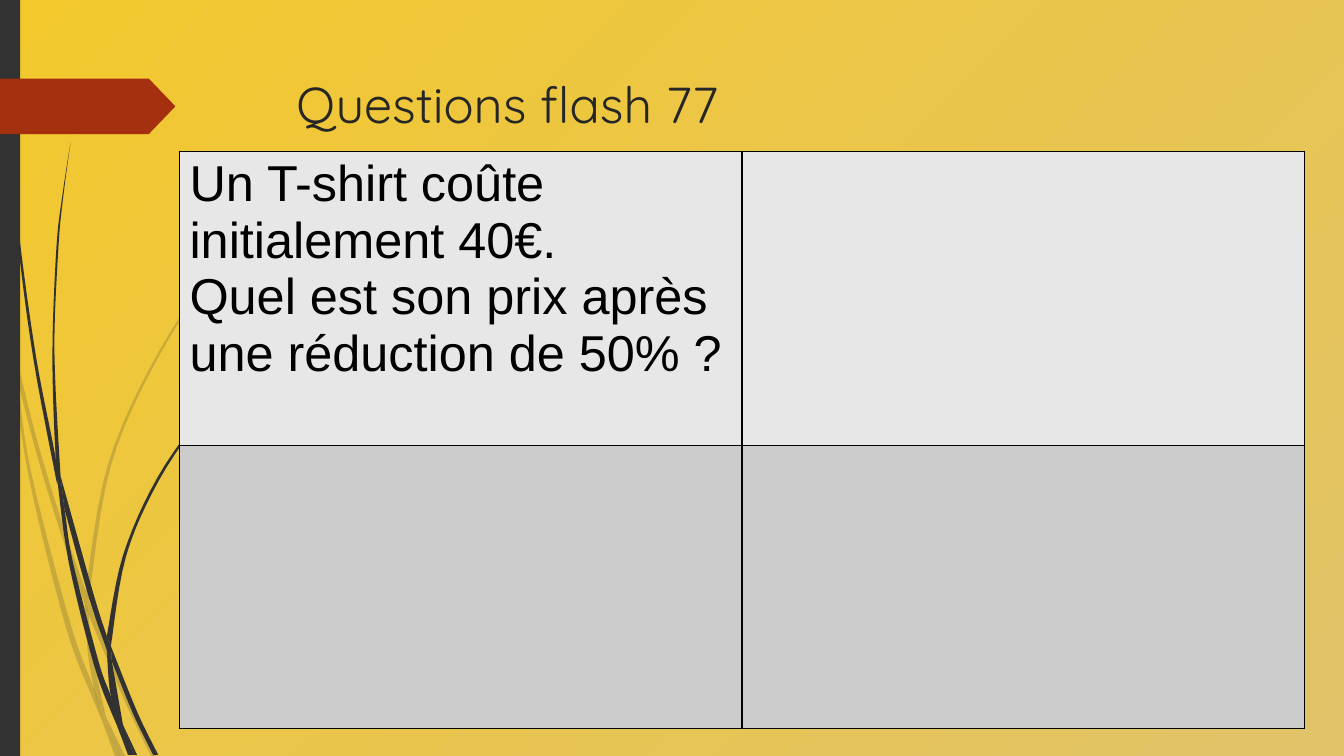
import pptx
import pptx.util
import pptx.dml.color
import pptx.enum.shapes
import pptx.enum.text
import pptx.oxml
import pptx.oxml.ns
from lxml import etree

Inches, Pt = pptx.util.Inches, pptx.util.Pt
RGBColor = pptx.dml.color.RGBColor
qn = pptx.oxml.ns.qn

CHARCOAL = RGBColor(0x32, 0x32, 0x32)
RUST = RGBColor(0xA5, 0x30, 0x0F)
SAND = RGBColor(0xE1, 0xC3, 0x69)
GOLD = RGBColor(0xF3, 0xC8, 0x2D)
TITLE_GREY = RGBColor(0x26, 0x26, 0x26)
BLACK = RGBColor(0, 0, 0)
ROW_FILLS = (RGBColor(0xE7, 0xE7, 0xE7), RGBColor(0xCC, 0xCC, 0xCC))

TITLE_FONT = {"name": "Quicksand", "size": Pt(36)}
QUESTION_FONT = {"name": "Arial", "size": Pt(36)}
QUESTION = ("Un T-shirt coûte initialement 40€.",
            "Quel est son prix après une réduction de 50%\u00a0?")

# Each blade of grass: one edge out, the other edge back, in inches
FAINT_BLADES = (
    ([(0, 2.82), (.09, 3.22), (.11, 3.5)], [(.1, 3.44), (0, 2.99)]),
    ([(.14, 3.45), (.36, 4.34), (.62, 5.2), (.85, 5.86)],
     [(.84, 5.99), (.58, 5.22), (.36, 4.49), (.17, 3.76)]),
    ([(.88, 5.96), (1.27, 6.92), (1.55, 7.5)],
     [(1.5, 7.5), (1.23, 6.94), (.88, 6.1)]),
    ([(1.05, 7.11), (1.24, 7.5)], [(1.19, 7.5)]),
    ([(.11, 3.5), (.17, 3.76), (.31, 4.69), (.7, 6.19), (.93, 6.83), (1.01, 7.14)],
     [(.92, 6.93), (.65, 6.21), (.28, 4.7), (.11, 3.5)]),
    ([(.84, 5.99), (.88, 6.1), (.91, 6.46), (1.05, 7.11)],
     [(.93, 6.83), (.87, 6.46), (.84, 5.99)]),
    ([(.88, 5.96), (1.1, 4.62), (1.6, 3.49), (2.29, 2.45), (2.68, 1.98),
      (2.9, 1.75), (3.12, 1.54)],
     [(3.12, 1.53), (2.89, 1.75), (2.68, 1.97), (2.28, 2.44), (1.58, 3.48),
      (1.07, 4.61), (.85, 5.86)]),
    ([(1.01, 7.14), (1.14, 7.5)], [(1.19, 7.5)]),
    ([(.84, 5.99), (.88, 6.1)], [(.88, 5.96), (.85, 5.86)]),
    ([(.93, 6.83), (1.05, 7.11), (1.19, 7.5)], [(1.01, 7.14), (.93, 6.83)]),
)
DARK_BLADES = (
    ([(.04, 0), (.05, .48), (.08, 1.09), (.19, 2.32), (.36, 3.55), (.55, 4.53), (.57, 4.81)],
     [(.56, 4.77), (.33, 3.55), (.17, 2.33), (.07, 1.1), (.04, .48), (.03, 0)]),
    ([(.6, 4.72), (.93, 5.9), (1.06, 6.31)], [(1.06, 6.45), (.88, 5.92), (.64, 5.05)]),
    ([(1.1, 6.41), (1.36, 7.06), (1.57, 7.49)], [(1.52, 7.49), (1.32, 7.08), (1.11, 6.56)]),
    ([(.57, 4.77), (.64, 5.05), (.72, 5.56), (.98, 6.57), (1.1, 6.91), (1.17, 7.22)],
     [(1.11, 7.08), (.93, 6.59), (.68, 5.57), (.57, 4.77)]),
    ([(.6, 4.72), (.54, 3.49), (.58, 2.45), (.63, 1.93), (.7, 1.41)],
     [(.7, 1.41), (.62, 1.93), (.56, 2.45), (.52, 3.49), (.55, 4.49), (.6, 4.72)]),
    ([(1.22, 7.19), (1.36, 7.49)], [(1.33, 7.49)]),
    ([(.55, 4.49), (.57, 4.77), (.64, 5.05)], [(.6, 4.72), (.55, 4.49)]),
    ([(1.1, 6.41), (1.25, 5.52), (1.58, 4.76), (2.05, 4.06), (2.31, 3.74), (2.61, 3.44)],
     [(2.6, 3.44), (2.31, 3.73), (2.04, 4.05), (1.56, 4.74), (1.22, 5.51), (1.06, 6.31)]),
    ([(1.17, 7.22), (1.27, 7.49)], [(1.31, 7.49)]),
    ([(1.06, 6.45), (1.1, 6.91), (1.22, 7.19)], [(1.11, 6.56), (1.06, 6.45)]),
    ([(1.06, 6.31), (1.1, 6.41)], [(1.11, 6.56), (1.06, 6.45)]),
    ([(1.1, 6.91), (1.22, 7.19), (1.33, 7.49)], [(1.3, 7.49), (1.17, 7.22), (1.1, 6.91)]),
)


def smooth(edge, steps=6):
    """Points of a Catmull-Rom curve through an edge."""
    ends = [edge[0], *edge, edge[-1]]
    curve = [edge[0]]
    for before, start, stop, after in zip(ends, ends[1:], ends[2:], ends[3:]):
        for step in range(1, steps + 1):
            t = step / steps
            curve.append(tuple(
                b + ((c - a) * t + (2 * a - 5 * b + 4 * c - d) * t ** 2
                     + (3 * b - a - 3 * c + d) * t ** 3) / 2
                for a, b, c, d in zip(before, start, stop, after)))
    return curve


def paint(shape, color, opacity=100):
    shape.shadow.inherit = False
    shape.fill.solid()
    shape.fill.fore_color.rgb = color
    shape.line.fill.background()
    if opacity < 100:
        rgb = shape.element.spPr.find(qn("a:solidFill")).find(qn("a:srgbClr"))
        etree.SubElement(rgb, qn("a:alpha"), val=str(opacity * 1000))


def add_grass(slide, blades, opacity):
    grass = slide.shapes.add_group_shape()
    for outward, back in blades:
        outline = [(Inches(x), Inches(y)) for x, y in smooth(outward) + smooth(back)]
        builder = grass.shapes.build_freeform(*outline[0])
        builder.add_line_segments(outline[1:], close=True)
        paint(builder.convert_to_shape(), CHARCOAL, opacity)


def add_block(slide, preset, color, left, top, width, height):
    block = slide.shapes.add_shape(
        preset, Inches(left), Inches(top), Inches(width), Inches(height))
    paint(block, color)
    return block


def set_background(slide):
    fill = slide.background.fill
    fill.gradient()
    for stop, color in zip(fill.gradient_stops, (SAND, GOLD)):
        stop.color.rgb = color
    # Circular gradient centred on the bottom right corner
    linear = next(slide.element.iter(qn("a:lin")))
    circle = etree.Element(qn("a:path"), path="circle")
    etree.SubElement(circle, qn("a:fillToRect"), l="100000", t="100000")
    linear.getparent().replace(linear, circle)


def write(paragraph, text, font, color):
    run = paragraph.add_run()
    run.text = text
    paragraph.alignment = pptx.enum.text.PP_ALIGN.LEFT
    for key, value in font.items():
        setattr(run.font, key, value)
    run.font.color.rgb = color


def place_title(slide, text):
    title = slide.shapes.title
    title.element.getparent().append(title.element)
    box = {"left": 2.84, "top": 0.68, "width": 9.75, "height": 1.4}
    for key, value in box.items():
        setattr(title, key, Inches(value))
    frame = title.text_frame
    frame.auto_size = pptx.enum.text.MSO_AUTO_SIZE.NONE
    frame.vertical_anchor = pptx.enum.text.MSO_ANCHOR.TOP
    write(frame.paragraphs[0], text, TITLE_FONT, TITLE_GREY)


def add_borders(cell):
    properties = cell._tc.get_or_add_tcPr()
    for side in ("lnL", "lnR", "lnT", "lnB"):
        line = etree.SubElement(properties, qn(f"a:{side}"), w=str(Pt(1)))
        solid = etree.SubElement(line, qn("a:solidFill"))
        etree.SubElement(solid, qn("a:srgbClr"), val=str(BLACK))


def add_question_grid(slide):
    grid = slide.shapes.add_table(
        2, 2, Inches(1.78), Inches(1.5), Inches(11.17), Inches(5.73)).table
    grid.first_row = grid.horz_banding = False
    for column in grid.columns:
        column.width = Inches(5.58)
    for row, height, color in zip(grid.rows, (2.92, 2.81), ROW_FILLS):
        row.height = Inches(height)
        for cell in row.cells:
            add_borders(cell)
            cell.fill.solid()
            cell.fill.fore_color.rgb = color
    frame = grid.cell(0, 0).text_frame
    for index, sentence in enumerate(QUESTION):
        paragraph = frame.add_paragraph() if index else frame.paragraphs[0]
        write(paragraph, sentence, QUESTION_FONT, BLACK)


def main():
    deck = pptx.Presentation()
    deck.slide_width, deck.slide_height = Inches(13.33), Inches(7.5)
    slide = deck.slides.add_slide(deck.slide_layouts[5])
    shapes = pptx.enum.shapes.MSO_SHAPE

    # Backdrop
    set_background(slide)
    add_grass(slide, FAINT_BLADES, 20)
    add_grass(slide, DARK_BLADES, 100)
    add_block(slide, shapes.RECTANGLE, CHARCOAL, 0, 0, 0.2, 7.5)
    marker = add_block(slide, shapes.PENTAGON, RUST, 0, 0.78, 1.74, 0.55)
    marker.adjustments[0] = 0.48

    # Content
    place_title(slide, "Questions flash 77")
    add_question_grid(slide)
    deck.save("out.pptx")


if __name__ == "__main__":
    main()
